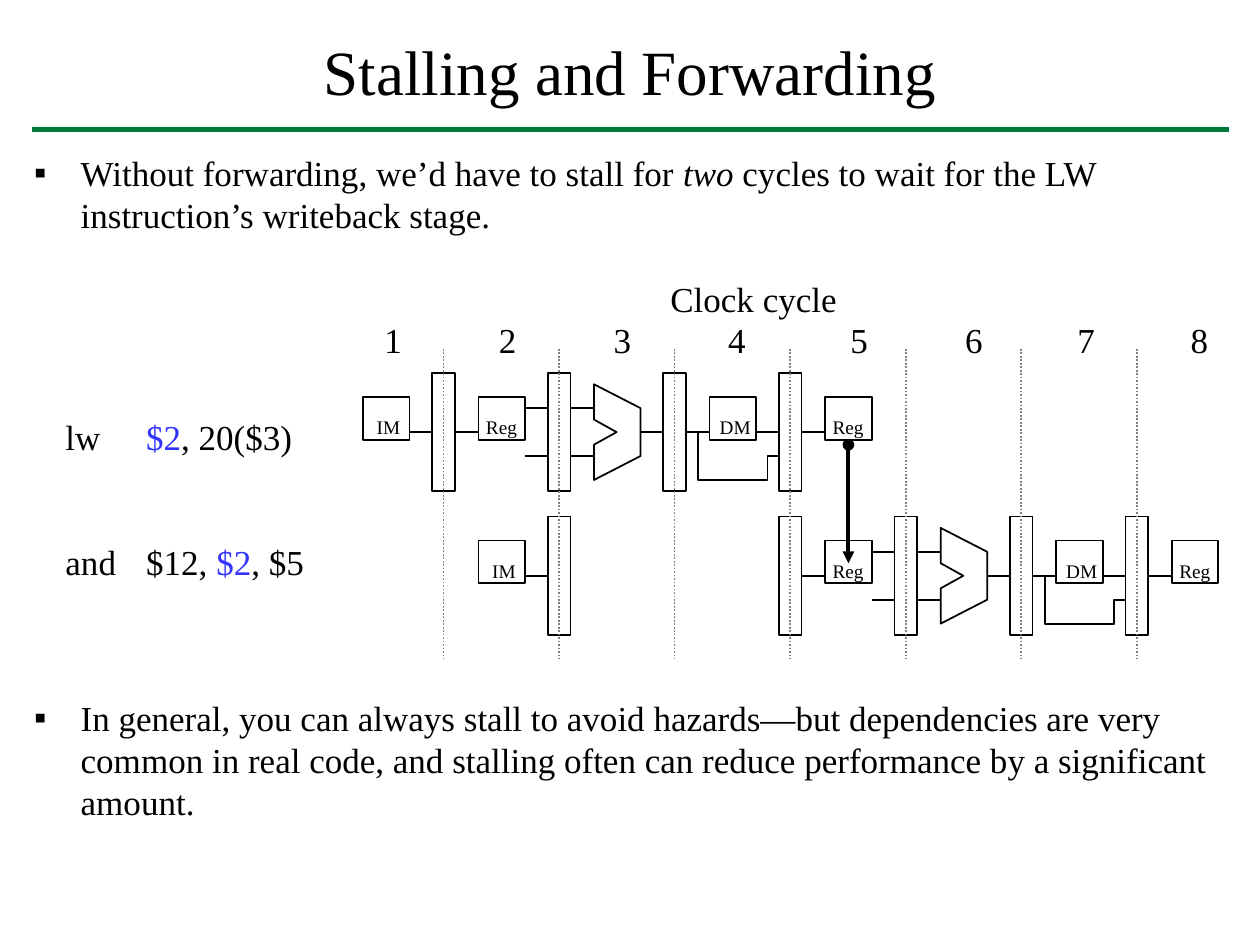
"""Builds a slide on stalling and forwarding in a pipelined processor."""
from dataclasses import dataclass
from typing import Any

from lxml.etree import SubElement
from pptx import Presentation
from pptx.dml.color import RGBColor
from pptx.enum.dml import MSO_LINE
from pptx.enum.shapes import MSO_CONNECTOR, MSO_SHAPE
from pptx.enum.text import MSO_ANCHOR, MSO_AUTO_SIZE, PP_ALIGN
from pptx.oxml.ns import qn
from pptx.util import Inches, Pt

COLORS = {"ink": "000000", "rule": "007A3A", "guide": "808080", "register": "3333FF"}
FONT = "Times New Roman"
FIRST_STAGE, LAST_STAGE, LAST_COLUMN = 2.88, 9.3, 7
STAGE_WIDTH, STAGE_HEIGHT, STAGE_RISE = 0.37, 0.34, 0.28
LATCH_OFFSET, LATCH_WIDTH, LATCH_HEIGHT = 0.55, 0.18, 0.94
OPERAND_OFFSET = 0.19
LABEL_INDENTS = {"IM": 0.11, "Reg": 0.06, "DM": 0.08}
CYCLE_LEFTS = [3.04, 3.95, 4.86, 5.77, 6.74, 7.65, 8.54, 9.44]
ROWS = [
    (3.43, {0: "IM", 1: "Reg", 2: "ALU", 3: "DM", 4: "Reg"}, [0, 1, 2, 3]),
    (4.57, {1: "IM", 4: "Reg", 5: "ALU", 6: "DM", 7: "Reg"}, [1, 3, 4, 5, 6]),
]
INSTRUCTIONS = [
    (3.29, [("lw\t", "ink"), ("$2", "register"), (", 20($3)", "ink")]),
    (4.28, [("and\t$12, ", "ink"), ("$2", "register"), (", $5", "ink")]),
]


def stage_left(column):
    """Return the left edge of a pipeline stage."""
    return FIRST_STAGE + column * (LAST_STAGE - FIRST_STAGE) / LAST_COLUMN


def latch_left(column):
    """Return the left edge of the latch that follows a stage."""
    return stage_left(column) + LATCH_OFFSET


@dataclass
class PipelineSlide:
    """Holds the slide and draws its elements in one style."""

    slide: Any

    def place(self, shape, left, top, width, height):
        """Move and size a shape."""
        shape.left, shape.top = Inches(left), Inches(top)
        shape.width, shape.height = Inches(width), Inches(height)

    def frame(self, shape, indent=0, top=0.01):
        """Prepare the text frame of a shape."""
        frame = shape.text_frame
        frame.word_wrap = True
        frame.auto_size = MSO_AUTO_SIZE.NONE
        frame.vertical_anchor = MSO_ANCHOR.TOP
        frame.margin_left, frame.margin_top = Inches(indent), Inches(top)
        frame.margin_right = frame.margin_bottom = 0
        return frame

    def fill_paragraph(self, para, spans, size, align=PP_ALIGN.LEFT, before=0):
        """Fill a paragraph with (text, color, italic) spans."""
        para.alignment, para.space_before = align, Pt(before)
        para.font.name, para.font.size = FONT, Pt(size)
        colors = {span[1] for span in spans}
        if len(colors) == 1:
            para.font.color.rgb = RGBColor.from_string(COLORS[spans[0][1]])
        for text, color, *italic in spans:
            run = para.add_run()
            run.text = text
            if len(colors) > 1:
                run.font.color.rgb = RGBColor.from_string(COLORS[color])
            if italic:
                run.font.italic = True

    def title(self, text):
        """Fill the title placeholder."""
        shape = self.slide.shapes.title
        self.place(shape, 0.25, 0.25, 9.5, 0.62)
        para = self.frame(shape).paragraphs[0]
        self.fill_paragraph(para, [(text, "ink")], 36, PP_ALIGN.CENTER)

    def bullet(self, index, top, height, spans):
        """Fill a body placeholder with a bulleted paragraph."""
        shape = self.slide.placeholders[index]
        self.place(shape, 0.25, top, 9.49, height)
        frame = self.frame(shape)
        para = frame.paragraphs[0]
        properties = para._p.get_or_add_pPr()
        properties.set("marL", str(Inches(0.39)))
        properties.set("indent", str(Inches(-0.37)))
        SubElement(properties, qn("a:buChar"), char="▪")
        self.fill_paragraph(para, spans, 20)
        return frame

    def heading(self, frame, text):
        """Add an indented line without a bullet."""
        para = frame.add_paragraph()
        properties = para._p.get_or_add_pPr()
        properties.set("marL", str(Inches(5.07)))
        properties.set("indent", "0")
        SubElement(properties, qn("a:buNone"))
        self.fill_paragraph(para, [(text, "ink")], 20, before=24)

    def text(self, left, top, width, spans, tab=None):
        """Add a one-line text box."""
        box = self.slide.shapes.add_textbox(*map(Inches, (left, top, width, 0.36)))
        para = self.frame(box, 0.01).paragraphs[0]
        if tab:
            tabs = SubElement(para._p.get_or_add_pPr(), qn("a:tabLst"))
            SubElement(tabs, qn("a:tab"), pos=str(Inches(tab)), algn="l")
        self.fill_paragraph(para, spans, 20)

    def outline(self, shape):
        """Give a shape a thin outline and no fill."""
        shape.shadow.inherit = False
        shape.fill.background()
        shape.line.color.rgb = RGBColor.from_string(COLORS["ink"])
        shape.line.width = Pt(1)
        return shape

    def rectangle(self, left, top, width, height):
        """Add an outlined rectangle."""
        size = map(Inches, (left, top, width, height))
        return self.outline(self.slide.shapes.add_shape(MSO_SHAPE.RECTANGLE, *size))

    def polygon(self, points, close):
        """Add an outlined shape through points."""
        corners = [(Inches(x), Inches(y)) for x, y in points]
        builder = self.slide.shapes.build_freeform(*corners[0])
        builder.add_line_segments(corners[1:], close=close)
        return self.outline(builder.convert_to_shape())

    def line(self, x1, y1, x2, y2, color="ink", width=1):
        """Add a straight connector."""
        ends = map(Inches, (x1, y1, x2, y2))
        connector = self.slide.shapes.add_connector(MSO_CONNECTOR.STRAIGHT, *ends)
        connector.line.color.rgb = RGBColor.from_string(COLORS[color])
        connector.line.width = Pt(width)
        SubElement(connector._element.spPr, qn("a:effectLst"))
        return connector

    def guide(self, x):
        """Add a dotted clock boundary."""
        self.line(x, 2.77, x, 5.23, "guide").line.dash_style = MSO_LINE.ROUND_DOT

    def forward(self, x, top, bottom):
        """Add the arrow that carries the written value."""
        ends = self.line(x, top, x, bottom, width=2.25).line._get_or_add_ln()
        SubElement(ends, qn("a:headEnd"), type="oval")
        SubElement(ends, qn("a:tailEnd"), type="triangle")

    def stage(self, name, column, middle):
        """Draw one pipeline stage."""
        left = stage_left(column)
        if name == "ALU":
            corners = [(0, -0.38), (0.37, -0.19), (0.37, 0.19), (0, 0.38),
                       (0, 0.1), (0.18, 0), (0, -0.1)]
            self.polygon([(left + x, middle + y) for x, y in corners], True)
            return
        box = self.rectangle(left, middle - STAGE_RISE, STAGE_WIDTH, STAGE_HEIGHT)
        para = self.frame(box, LABEL_INDENTS[name], 0.15).paragraphs[0]
        self.fill_paragraph(para, [(name, "ink")], 11)
        if name == "DM":
            bypass = [(-0.09, 0), (-0.09, 0.38), (0.46, 0.38), (0.46, 0.19), (0.55, 0.19)]
            self.polygon([(left + x, middle + y) for x, y in bypass], False)

    def latch(self, column, middle, stages):
        """Draw a latch and the wires on both sides of it."""
        left = latch_left(column)
        right = left + LATCH_WIDTH
        box = self.rectangle(left, middle - LATCH_HEIGHT / 2, LATCH_WIDTH, LATCH_HEIGHT)
        operands = stages.get(column + 1) == "ALU"
        for shift in (-OPERAND_OFFSET, OPERAND_OFFSET) if operands else (0,):
            y = middle + shift
            if column in stages:
                wire = self.line(stage_left(column) + STAGE_WIDTH, y, left, y)
                if not operands:
                    wire.end_connect(box, 1)
            if column + 1 in stages:
                wire = self.line(right, y, stage_left(column + 1), y)
                if not operands:
                    wire.begin_connect(box, 3)


def main():
    """Build and save the deck."""
    deck = Presentation()
    deck.slide_width, deck.slide_height = Inches(10), Inches(7.5)
    page = PipelineSlide(deck.slides.add_slide(deck.slide_layouts[3]))
    page.title("Stalling and Forwarding")
    page.line(0.25, 1.03, 9.75, 1.03, "rule", 3)
    frame = page.bullet(1, 1.19, 1.36, [
        ("Without forwarding, we’d have to stall for ", "ink"), ("two", "ink", True),
        (" cycles to wait for the LW instruction’s writeback stage.", "ink")])
    page.heading(frame, "Clock cycle")
    page.bullet(2, 5.52, 1.03, [(
        "In general, you can always stall to avoid hazards—but dependencies are very common "
        "in real code, and stalling often can reduce performance by a significant amount.",
        "ink")])
    for cycle, left in enumerate(CYCLE_LEFTS, 1):
        page.text(left, 2.52, 0.17, [(str(cycle), "ink")])
    for top, spans in INSTRUCTIONS:
        page.text(0.51, top, 2.05, spans, tab=0.64)
    for middle, stages, latches in ROWS:
        for column, name in stages.items():
            page.stage(name, column, middle)
        for column in latches:
            page.latch(column, middle, stages)
    for column in range(LAST_COLUMN):
        page.guide(latch_left(column) + LATCH_WIDTH / 2)
    page.forward(stage_left(4) + STAGE_WIDTH / 2, 3.53, 4.47)
    deck.save("out.pptx")


if __name__ == "__main__":
    main()
